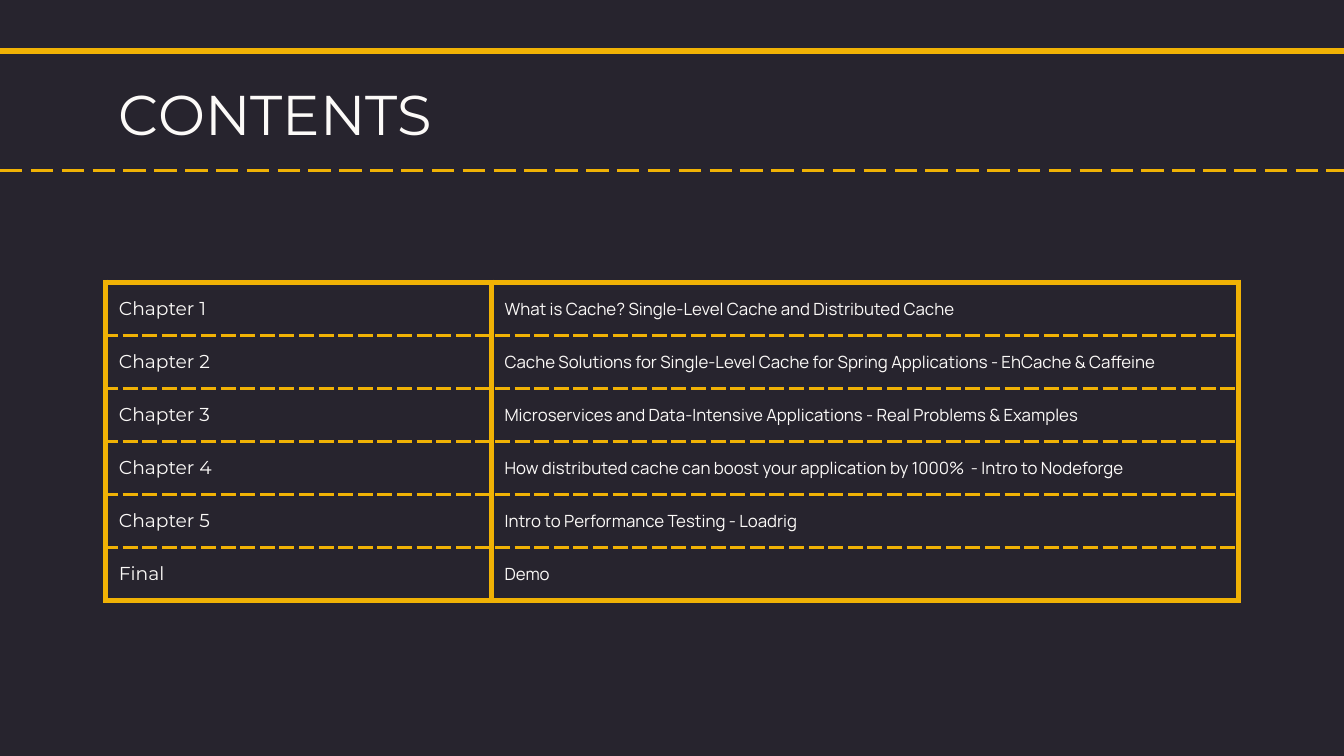
from dataclasses import dataclass
from lxml import etree
from pptx import Presentation
from pptx.dml.color import RGBColor
from pptx.enum.dml import MSO_LINE
from pptx.enum.shapes import MSO_CONNECTOR
from pptx.enum.text import MSO_ANCHOR
from pptx.oxml import parse_xml
from pptx.oxml.ns import nsdecls, qn
from pptx.util import Inches, Pt

STRAIGHT = MSO_CONNECTOR.STRAIGHT
DASH = MSO_LINE.LONG_DASH
SOLID = MSO_LINE.SOLID
TOP = MSO_ANCHOR.TOP
MIDDLE = MSO_ANCHOR.MIDDLE


@dataclass(frozen=True)
class Theme:
    back: str = "27242E"
    gold: str = "F0B205"
    pale: str = "FCFAF8"
    head: str = "Montserrat"
    body: str = "Manrope"
    title: float = 30
    label: float = 10
    topic: float = 9
    thick: float = 3
    thin: float = 1.5


@dataclass(frozen=True)
class Rule:
    top: float
    width: float
    dash: MSO_LINE


@dataclass(frozen=True)
class Entry:
    label: str
    topic: str


THEME = Theme()
RULES = [Rule(0.38, THEME.thick, SOLID), Rule(1.27, THEME.thin, DASH)]
ENTRIES = [
    Entry("Chapter 1", "What is Cache? Single-Level Cache and Distributed Cache"),
    Entry("Chapter 2", "Cache Solutions for Single-Level Cache for Spring Applications - EhCache & Caffeine"),
    Entry("Chapter 3", "Microservices and Data-Intensive Applications - Real Problems & Examples"),
    Entry("Chapter 4", "How distributed cache can boost your application by 1000%  - Intro to Nodeforge"),
    Entry("Chapter 5", "Intro to Performance Testing - Loadrig"),
    Entry("Final", "Demo"),
]
PAGE = Inches(10)
COLS = (2.87, 5.56)
WIDE = Inches(sum(COLS))
LEFT = (PAGE - WIDE) // 2
HIGH = Inches(2.37)


def style(target, values: dict) -> None:
    for name, value in values.items():
        setattr(target, name, value)


def write(frame, text: str, font: str, size: float) -> None:
    run = frame.paragraphs[0].add_run()
    run.text = text
    style(run.font, {"name": font, "size": Pt(size)})
    run.font.color.rgb = RGBColor.from_string(THEME.pale)


def draw_rule(slide, rule: Rule) -> None:
    line = slide.shapes.add_connector(
        STRAIGHT, Inches(0), Inches(rule.top), Inches(10.02), Inches(rule.top))
    style(line.line, {"width": Pt(rule.width), "dash_style": rule.dash})
    line.line.color.rgb = RGBColor.from_string(THEME.gold)
    etree.SubElement(line._element.spPr, qn("a:effectLst"))


def draw_title(slide, text: str) -> None:
    box = slide.shapes.add_textbox(LEFT, Inches(0.49), WIDE, Inches(0.63))
    sides = ("margin_left", "margin_top", "margin_right", "margin_bottom")
    style(box.text_frame, dict.fromkeys(sides, Inches(0.1)))
    style(box.text_frame, {"word_wrap": True, "vertical_anchor": TOP})
    write(box.text_frame, text, THEME.head, THEME.title)


def edge_cell(cell, first: bool, last: bool) -> None:
    props = cell._tc.get_or_add_tcPr()
    sides = {"L": True, "R": True, "T": first, "B": last}
    for place, (side, heavy) in enumerate(sides.items()):
        width = Pt(THEME.thick if heavy else THEME.thin)
        dash = "solid" if heavy else "lgDash"
        props.insert(place, parse_xml(
            f'<a:ln{side} {nsdecls("a")} w="{width}" cap="flat" cmpd="sng">'
            f'<a:solidFill><a:srgbClr val="{THEME.gold}"/></a:solidFill>'
            f'<a:prstDash val="{dash}"/></a:ln{side}>'))


def draw_table(slide, entries: list[Entry]) -> None:
    table = slide.shapes.add_table(
        len(entries), len(COLS), LEFT, Inches(2.1), WIDE, HIGH).table
    style(table, {"first_row": False, "horz_banding": False})
    for col, width in zip(table.columns, COLS):
        col.width = Inches(width)
    form = {
        "margin_left": Inches(0.1), "margin_right": Inches(0.1),
        "margin_top": 0, "margin_bottom": 0, "vertical_anchor": MIDDLE,
    }
    for i, entry in enumerate(entries):
        table.rows[i].height = HIGH // len(entries)
        texts = ((entry.label, THEME.head, THEME.label),
                 (entry.topic, THEME.body, THEME.topic))
        for j, (text, font, size) in enumerate(texts):
            cell = table.cell(i, j)
            style(cell, form)
            cell.fill.background()
            edge_cell(cell, i == 0, i == len(entries) - 1)
            write(cell.text_frame, text, font, size)


def main() -> None:
    deck = Presentation()
    style(deck, {"slide_width": PAGE, "slide_height": PAGE * 9 // 16})
    slide = deck.slides.add_slide(deck.slide_layouts[6])
    fill = slide.background.fill
    fill.solid()
    fill.fore_color.rgb = RGBColor.from_string(THEME.back)
    for rule in RULES:
        draw_rule(slide, rule)
    draw_title(slide, "CONTENTS")
    draw_table(slide, ENTRIES)
    deck.save("out.pptx")


if __name__ == "__main__":
    main()
